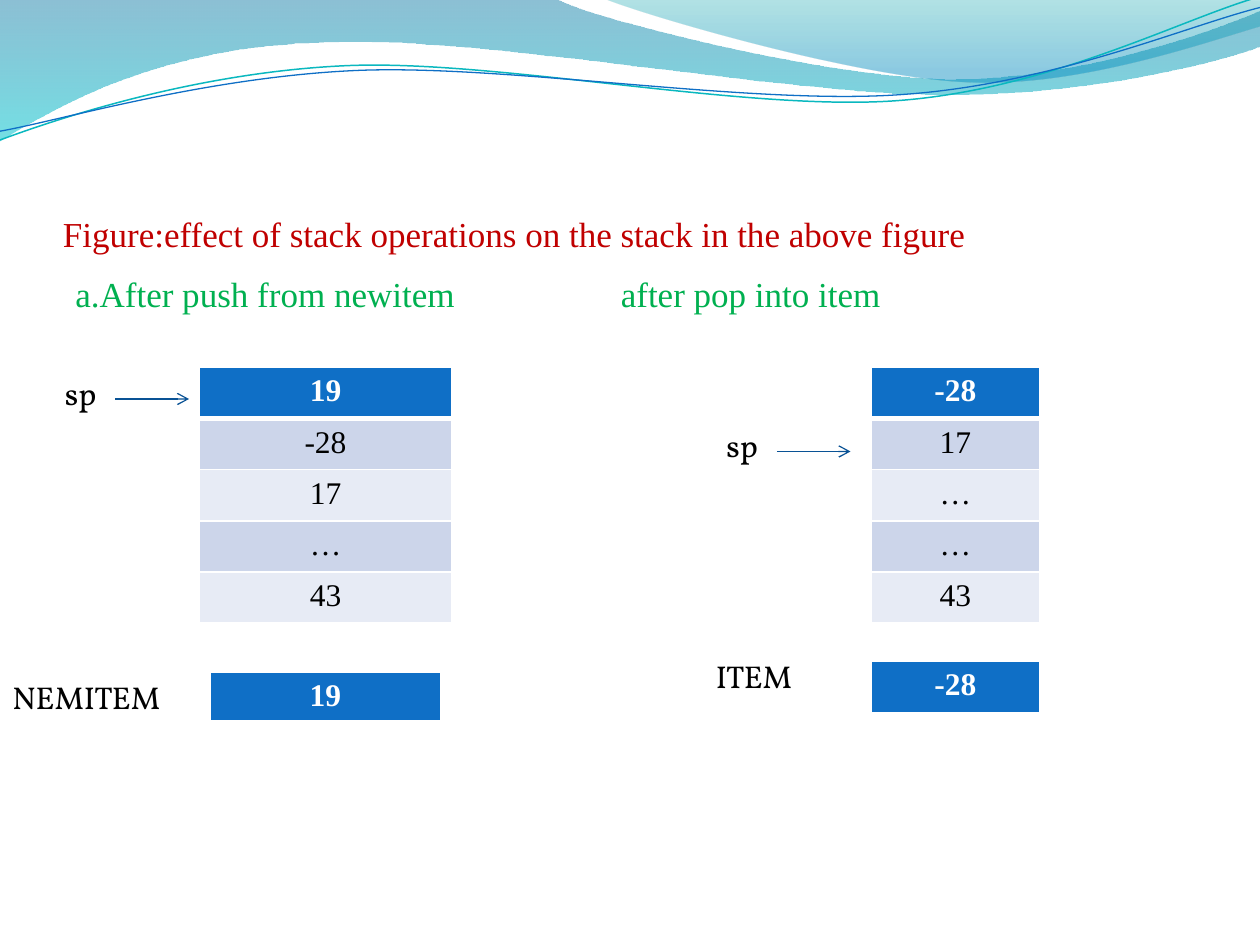
import dataclasses

import lxml.etree
import pptx
import pptx.dml.color
import pptx.enum.shapes
import pptx.enum.text
import pptx.oxml.ns
import pptx.util

Pt = pptx.util.Pt
qn = pptx.oxml.ns.qn


@dataclasses.dataclass(frozen=True)
class Theme:
    """Colours, fonts and type sizes of the slide."""
    red: str = "C00000"
    green: str = "00B050"
    black: str = "000000"
    white: str = "FFFFFF"
    blue: str = "0F6FC6"
    teal: str = "0AB8BF"
    arrow: str = "095295"
    bands: tuple = ("CCD5EA", "E7EBF5")
    wave: tuple = ((0, "0074A1", 45), (1, "00C6CF", 55))
    crest: tuple = ((0, "00A1A9", 30), (0.8, "008BBF", 45))
    serif: str = "Times New Roman"
    label: str = "Vollkorn"
    head: int = 20
    text: int = 18


THEME = Theme()

WAVE = [(0, 0), (317, -1), (343, 12, 478, 45, 546, 45), (614, 45, 690, 19, 720, 6),
        (721, 26), (708, 32, 626, 55, 537, 54), (447, 54, 275, 20, 185, 24),
        (93, 26, 33, 60, -1, 81)]
CREST = [(345, -1), (366, 8, 491, 45, 554, 47), (617, 50, 692, 23, 720, 15), (720, 0)]
UPPER = [(0, 80), (35, 67, 114, 41, 199, 37.5), (284.5, 34, 427, 64, 513, 57.5),
         (600, 51, 675, 11, 718.5, -1.5)]
LOWER = [(0, 75), (34, 69, 118, 44, 204, 40.3), (290, 36.7, 430, 60.5, 516, 54),
         (602, 48, 677.5, 15, 720, 4.3)]


def rgb(code):
    """Return the colour object of a hex code."""
    return pptx.dml.color.RGBColor.from_string(code)


def bend(shape, path):
    """Join the three segments of each curved part into one cubic curve."""
    lines = list(shape.element.spPr.iter(qn("a:lnTo")))
    for part in path[1:]:
        count = len(part) // 2
        group, lines = lines[:count], lines[count:]
        if count == 3:
            curve = lxml.etree.Element(qn("a:cubicBezTo"))
            group[0].addprevious(curve)
            for line in group:
                curve.append(line[0])
                line.getparent().remove(line)


def draw(slide, box, path, close):
    """Draw a path of points and cubic curves from the corner of the box."""
    points = [(Pt(box[0] + part[i]), Pt(box[1] + part[i + 1]))
              for part in path for i in range(0, len(part), 2)]
    pen = slide.shapes.build_freeform(*points[0])
    pen.add_line_segments(points[1:], close=close)
    shape = pen.convert_to_shape()
    bend(shape, path)
    shape.shadow.inherit = False
    return shape


def banner(slide, box):
    """Draw the shaded waves and the two thin curves."""
    for path, stops in ((WAVE, THEME.wave), (CREST, THEME.crest)):
        shape = draw(slide, box, path, True)
        shape.line.fill.background()
        shape.fill.gradient()
        shape.fill.gradient_angle = 270
        for stop, (place, code, _) in zip(shape.fill.gradient_stops, stops):
            stop.position = place
            stop.color.rgb = rgb(code)
        grad = shape.element.spPr.find(qn("a:gradFill"))
        for node, (_, _, alpha) in zip(grad.iter(qn("a:srgbClr")), stops):
            lxml.etree.SubElement(node, qn("a:alpha"), val=str(alpha * 1000))
    for path, code, width in ((UPPER, THEME.teal, 0.85), (LOWER, THEME.blue, 0.75)):
        shape = draw(slide, box, path, False)
        shape.fill.background()
        shape.line.color.rgb = rgb(code)
        shape.line.width = Pt(width)


def style(para, face, size, code, bold=False):
    """Set the font of a paragraph."""
    para.font.name = face
    para.font.size = Pt(size)
    para.font.bold = bold
    para.font.color.rgb = rgb(code)


def write(slide, box, text, face, size, code, tab=None):
    """Add a text box with one paragraph and an optional tab stop."""
    frame = slide.shapes.add_textbox(*map(Pt, box)).text_frame
    frame.word_wrap = True
    para = frame.paragraphs[0]
    para.text = text
    if tab:
        tabs = lxml.etree.SubElement(para._p.get_or_add_pPr(), qn("a:tabLst"))
        lxml.etree.SubElement(tabs, qn("a:tab"), pos=str(Pt(tab)), algn="l")
    style(para, face, size, code)
    return frame


def heading(slide, box):
    """Write the red title at the foot of its box."""
    frame = write(slide, box,
                  "Figure:effect of stack operations on the stack in the above figure",
                  THEME.serif, THEME.head, THEME.red)
    frame.margin_left = frame.margin_right = frame.margin_bottom = 0
    frame.vertical_anchor = pptx.enum.text.MSO_ANCHOR.BOTTOM


def captions(slide, box):
    """Write the two captions on one line, parted by a tab."""
    write(slide, box, "a.After push from newitem\tafter pop into item",
          THEME.serif, THEME.head, THEME.green, tab=311.7)


def edge(cell, low):
    """Give a cell white borders with the given bottom width."""
    props = cell._tc.get_or_add_tcPr()
    for side, width in (("L", 1), ("R", 1), ("T", 1), ("B", low)):
        line = lxml.etree.SubElement(props, qn("a:ln" + side), w=str(Pt(width)))
        fill = lxml.etree.SubElement(line, qn("a:solidFill"))
        lxml.etree.SubElement(fill, qn("a:srgbClr"), val=THEME.white)


def column(slide, box, values):
    """Build a one-column table with a blue top cell."""
    table = slide.shapes.add_table(len(values), 1, *map(Pt, box)).table
    table.first_row = table.horz_banding = False
    for row, value in enumerate(values):
        table.rows[row].height = Pt(box[3] / len(values))
        cell = table.cell(row, 0)
        top = row == 0
        edge(cell, 3 if top else 1)
        cell.fill.solid()
        cell.fill.fore_color.rgb = rgb(THEME.blue if top else THEME.bands[(row - 1) % 2])
        para = cell.text_frame.paragraphs[0]
        para.text = value
        para.alignment = pptx.enum.text.PP_ALIGN.CENTER
        style(para, THEME.serif, THEME.text, THEME.white if top else THEME.black, top)


def stack(slide, box, wide, values, drop):
    """Place a stack at the right of the box and its pointer at the left."""
    left, top, width, height = box
    column(slide, (left + width - wide, top, wide, height), values)
    write(slide, (left, top + drop, 42, 29), "sp", THEME.label, THEME.text, THEME.black)
    level = Pt(top + drop + 18)
    line = slide.shapes.add_connector(pptx.enum.shapes.MSO_CONNECTOR.STRAIGHT,
                                      Pt(left + 36), level, Pt(left + 78), level)
    line.line.color.rgb = rgb(THEME.arrow)
    line.line.width = Pt(0.75)
    lxml.etree.SubElement(line.line._get_or_add_ln(), qn("a:tailEnd"), type="arrow")
    lxml.etree.SubElement(line._element.spPr, qn("a:effectLst"))


def slot(slide, box, wide, name, span, value, drop):
    """Place a named single cell at the right of the box."""
    left, top, width, height = box
    write(slide, (left, top, span, 29), name, THEME.label, THEME.text, THEME.black)
    column(slide, (left + width - wide, top + drop, wide, height - drop), [value])


def main():
    """Build the slide and save it."""
    deck = pptx.Presentation()
    deck.slide_width, deck.slide_height = Pt(720), Pt(540)
    slide = deck.slides.add_slide(deck.slide_layouts[6])
    banner(slide, (0, 0, 720, 81))
    heading(slide, (36, 55.5, 648, 90))
    captions(slide, (36, 152, 648, 346))
    stack(slide, (30, 210, 228, 146), 144, ["19", "-28", "17", "…", "43"], 0)
    stack(slide, (408, 210, 186, 146), 96, ["-28", "17", "…", "…", "43"], 30)
    slot(slide, (0, 384, 252, 28), 132, "NEMITEM", 108, "19", 0)
    slot(slide, (402, 372, 192, 36), 96, "ITEM", 78, "-28", 6)
    deck.save("out.pptx")


if __name__ == "__main__":
    main()
